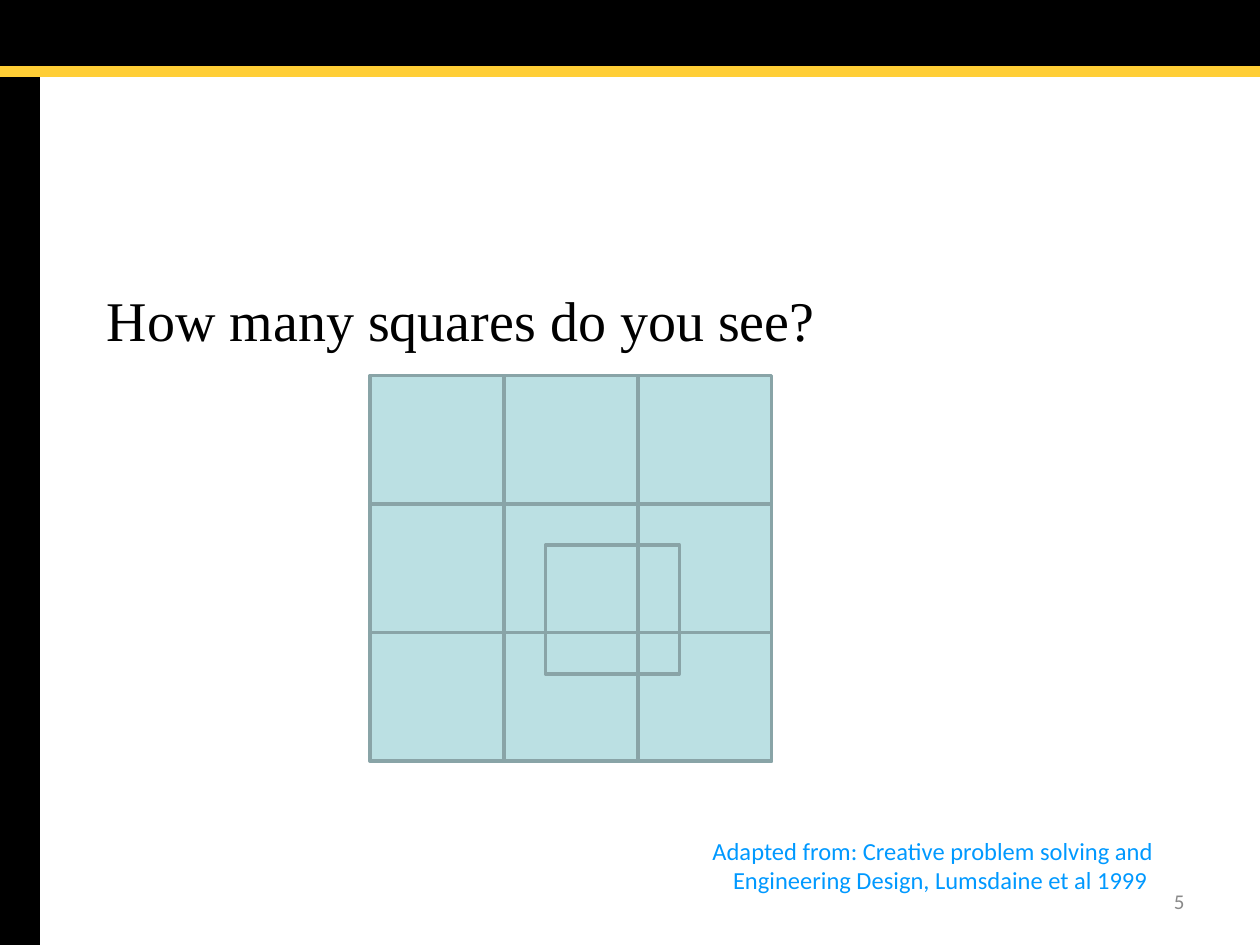
import itertools
from dataclasses import dataclass

import pptx
import pptx.dml.color
import pptx.enum.shapes
import pptx.enum.text
import pptx.oxml.ns
import pptx.util
from lxml import etree

Pt = pptx.util.Pt
ALIGN = pptx.enum.text.PP_ALIGN
ANCHOR = pptx.enum.text.MSO_ANCHOR


@dataclass(frozen=True)
class Theme:
    black: str = "000000"
    gold: str = "FFCE36"
    square_fill: str = "BBE0E3"
    square_line: str = "89A4A7"
    source: str = "0099FF"
    number: str = "898989"
    question_font: str = "Times New Roman"
    small_font: str = "Calibri"
    question_size: int = 32
    source_size: int = 14
    number_size: int = 12


THEME = Theme()


def rgb(color):
    return pptx.dml.color.RGBColor.from_string(color)


def add_rectangle(slide, box, fill, line, line_width):
    shape = slide.shapes.add_shape(
        pptx.enum.shapes.MSO_SHAPE.RECTANGLE, *map(Pt, box))
    shape.shadow.inherit = False
    if fill:
        shape.fill.solid()
        shape.fill.fore_color.rgb = rgb(fill)
    else:
        shape.fill.background()
    shape.line.color.rgb = rgb(line)
    shape.line.width = Pt(line_width)


def add_text(slide, box, text, font, size, color,
             align=ALIGN.LEFT, anchor=ANCHOR.TOP, margin_top=3.6):
    shape = slide.shapes.add_textbox(*map(Pt, box))
    frame = shape.text_frame
    frame.word_wrap = True
    frame.vertical_anchor = anchor
    frame.margin_top = Pt(margin_top)
    frame.text = text
    paragraph = frame.paragraphs[0]
    paragraph.alignment = align
    run_font = paragraph.runs[0].font
    run_font.name = font
    run_font.size = Pt(size)
    run_font.color.rgb = rgb(color)


def add_frame(slide, box):
    """Black top band and side bar, with a gold rule under the band."""
    left, top, width, height = box
    add_rectangle(slide, (left, top, width, 38.9), THEME.black, THEME.black, 0.75)
    add_rectangle(slide, (left - 1.5, top, 24, height), THEME.black, THEME.black, 0.75)
    rule_top = top + 41
    rule = slide.shapes.add_connector(
        pptx.enum.shapes.MSO_CONNECTOR.STRAIGHT,
        Pt(left), Pt(rule_top), Pt(left + width), Pt(rule_top))
    rule.line.color.rgb = rgb(THEME.gold)
    rule.line.width = Pt(6)
    etree.SubElement(rule._element.spPr, pptx.oxml.ns.qn("a:effectLst"))


def add_puzzle(slide, box, count=3):
    """A grid of squares with one unfilled square laid over it."""
    left, top, width, height = box
    cell_width, cell_height = width / count, height / count

    def add_square(column, row, fill):
        add_rectangle(
            slide,
            (left + column * cell_width, top + row * cell_height,
             cell_width, cell_height),
            fill, THEME.square_line, 2)

    for row, column in itertools.product(range(count), repeat=2):
        add_square(column, row, THEME.square_fill)
    add_square(1.31, 1.32, None)


def build_slide(presentation):
    slide = presentation.slides.add_slide(presentation.slide_layouts[6])
    add_frame(slide, (0, 0, 720, 540))

    # Question
    add_text(slide, (54, 156, 612, 324), "How many squares do you see?",
             THEME.question_font, THEME.question_size, THEME.black,
             margin_top=7.2)

    # Slide number
    add_text(slide, (540, 500.5, 144, 28.8), "5",
             THEME.small_font, THEME.number_size, THEME.number,
             ALIGN.RIGHT, ANCHOR.MIDDLE)

    add_puzzle(slide, (211.5, 214.5, 229.5, 220.5))

    # Source of the puzzle
    add_text(slide, (366, 474, 300, 41),
             "Adapted from: Creative problem solving and "
             "Engineering Design, Lumsdaine et al 1999 ",
             THEME.small_font, THEME.source_size, THEME.source, ALIGN.RIGHT)


def main():
    presentation = pptx.Presentation()
    presentation.slide_width = Pt(720)
    presentation.slide_height = Pt(540)
    build_slide(presentation)
    presentation.save("out.pptx")


if __name__ == "__main__":
    main()
